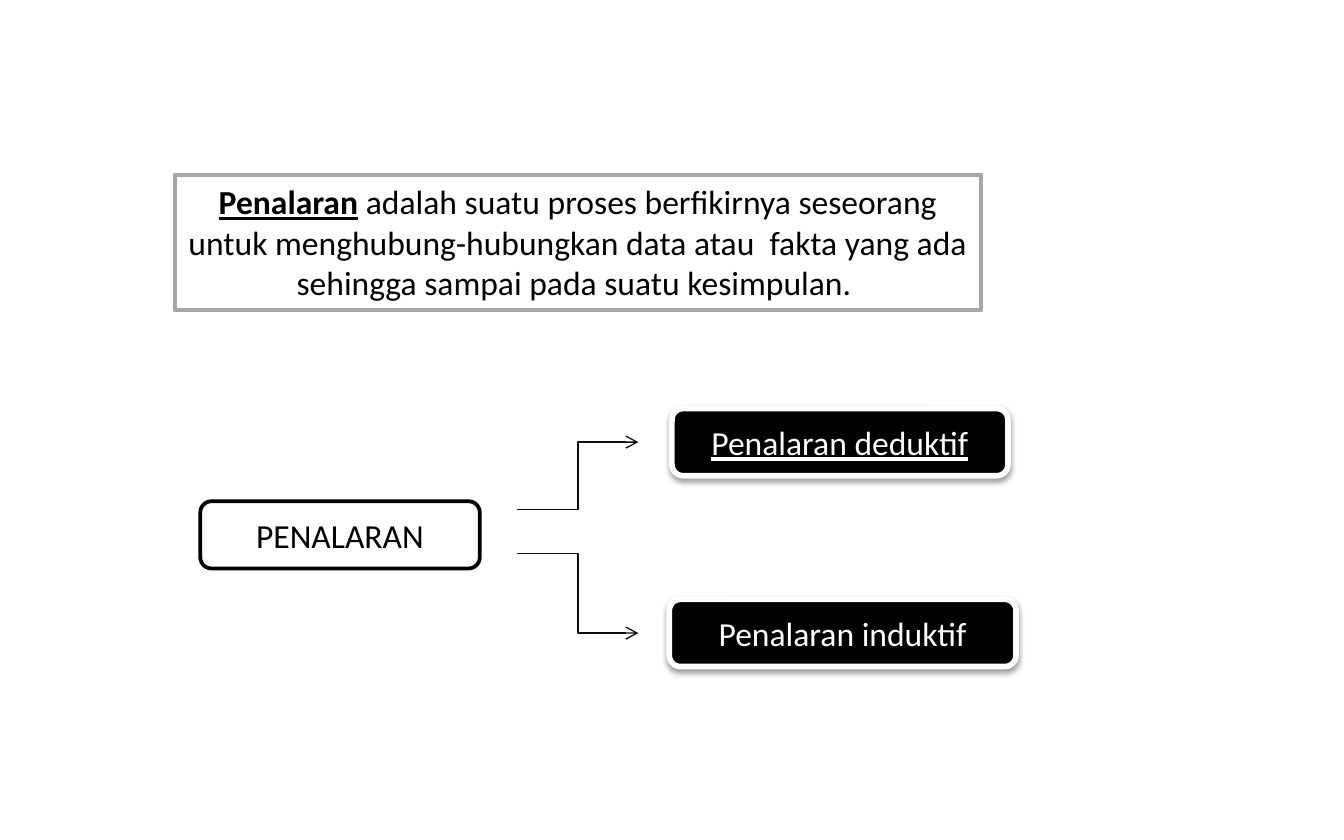
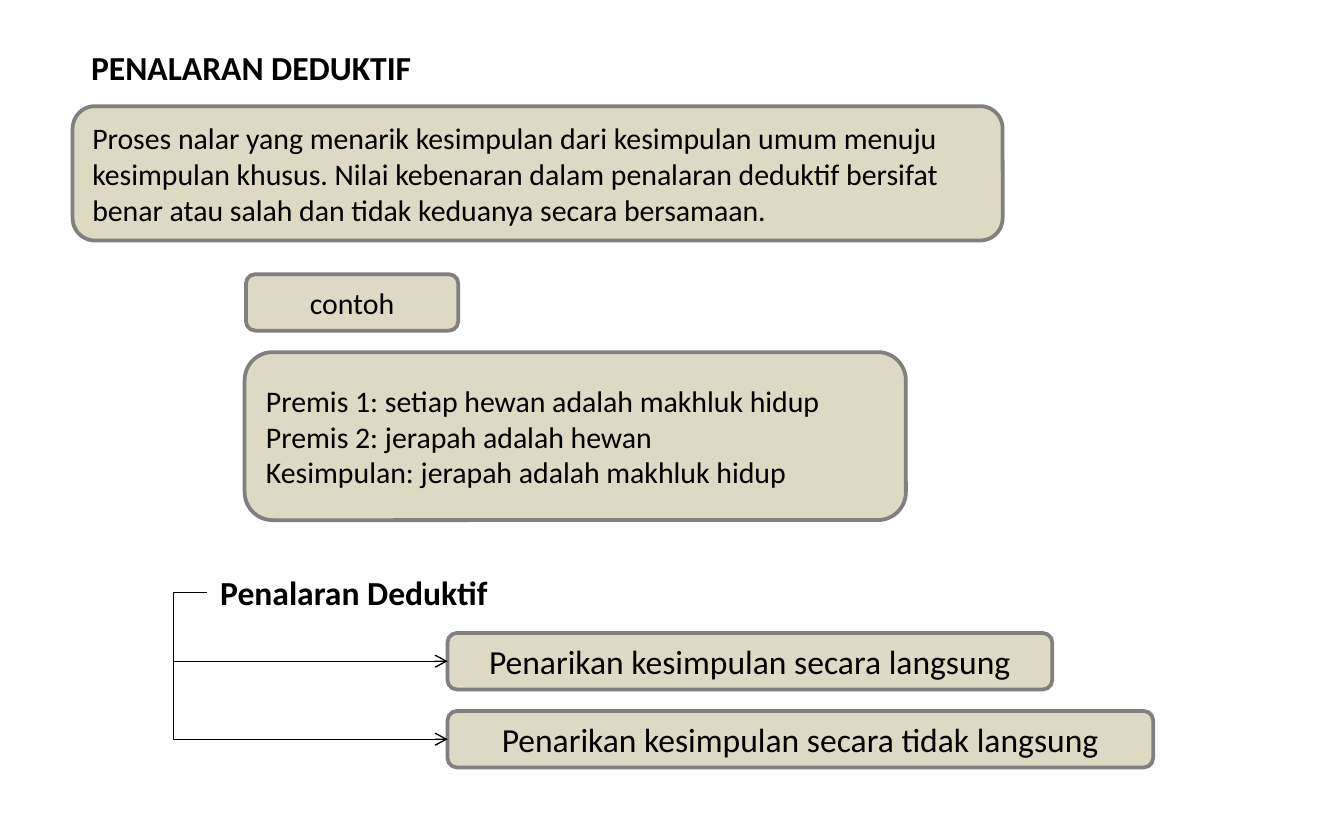
from dataclasses import dataclass, field
from typing import Optional

from lxml.etree import SubElement
from pptx import Presentation
from pptx.dml.color import RGBColor
from pptx.enum.shapes import MSO_CONNECTOR as Link, MSO_SHAPE as Preset
from pptx.enum.text import MSO_ANCHOR as Anchor, PP_ALIGN as Align
from pptx.oxml.ns import qn
from pptx.util import Inches, Pt

BLACK = RGBColor(0x00, 0x00, 0x00)
NEAR_BLACK = RGBColor(0x0D, 0x0D, 0x0D)
WHITE = RGBColor(0xFF, 0xFF, 0xFF)
SILVER = RGBColor(0xA6, 0xA6, 0xA6)
GREY = RGBColor(0x80, 0x80, 0x80)
SAND = RGBColor(0xDD, 0xD9, 0xC3)
FONT = "Calibri"


@dataclass(frozen=True)
class Style:
    """Look shared by boxes of one kind."""
    fill: Optional[RGBColor]
    line: RGBColor
    line_width: float
    ink: RGBColor = BLACK
    preset: Preset = Preset.ROUNDED_RECTANGLE
    anchor: Anchor = Anchor.MIDDLE
    raised: bool = False


@dataclass(frozen=True)
class Run:
    """Piece of text with its own font format."""
    text: str
    font: dict = field(default_factory=dict)


@dataclass(frozen=True)
class Box:
    """Outlined box; each paragraph is a list of runs."""
    left: float
    top: float
    width: float
    height: float
    paragraphs: list[list[Run]]
    style: Style
    size: int = 18
    align: Align = Align.CENTER


@dataclass(frozen=True)
class Arrow:
    """Elbow arrow; bend is the turning point as a share of its width."""
    start: tuple[float, float]
    end: tuple[float, float]
    color: RGBColor = BLACK
    bend: float = 0.5


DEFINITION = Style(None, SILVER, 2.25, preset=Preset.RECTANGLE, anchor=Anchor.TOP)
ROOT = Style(WHITE, BLACK, 2)
BRANCH = Style(BLACK, WHITE, 3, ink=WHITE, raised=True)
PANEL = Style(SAND, GREY, 2)


def set_format(target, values: dict) -> None:
    """Set every named attribute of the target."""
    for name, value in values.items():
        setattr(target, name, value)


def write_text(frame, paragraphs: list[list[Run]], size: int, ink: RGBColor,
               align: Align, anchor: Anchor) -> None:
    """Fill a text frame with paragraphs of formatted runs."""
    set_format(frame, {"word_wrap": True, "vertical_anchor": anchor})
    for index, runs in enumerate(paragraphs):
        paragraph = frame.add_paragraph() if index else frame.paragraphs[0]
        paragraph.alignment = align
        for piece in runs:
            run = paragraph.add_run()
            run.text = piece.text
            set_format(run.font, {"name": FONT, "size": Pt(size), **piece.font})
            run.font.color.rgb = ink


def add_soft_shadow(shape) -> None:
    """Put a faint shadow straight below the shape."""
    effects = shape._element.spPr.find(qn("a:effectLst"))
    shadow = SubElement(effects, qn("a:outerShdw"), blurRad=str(Pt(3.1)),
                        dist=str(Pt(1.6)), dir="5400000", rotWithShape="0")
    color = SubElement(shadow, qn("a:srgbClr"), val=str(BLACK))
    SubElement(color, qn("a:alpha"), val="38000")


def draw_box(slide, box: Box) -> None:
    """Draw a box with its text."""
    style = box.style
    shape = slide.shapes.add_shape(style.preset, Inches(box.left), Inches(box.top),
                                   Inches(box.width), Inches(box.height))
    if style.fill is None:
        shape.fill.background()
    else:
        shape.fill.solid()
        shape.fill.fore_color.rgb = style.fill
    shape.line.color.rgb = style.line
    shape.line.width = Pt(style.line_width)
    shape.shadow.inherit = False
    if style.raised:
        add_soft_shadow(shape)
    write_text(shape.text_frame, box.paragraphs, box.size, style.ink,
               box.align, style.anchor)


def draw_heading(slide, left: float, top: float, width: float, text: str) -> None:
    """Draw a bold heading without a frame."""
    heading = slide.shapes.add_textbox(Inches(left), Inches(top),
                                       Inches(width), Inches(0.4))
    write_text(heading.text_frame, [[Run(text, {"bold": True})]], 18, BLACK,
               Align.LEFT, Anchor.TOP)


def draw_arrow(slide, arrow: Arrow) -> None:
    """Draw an elbow connector with an open arrowhead at its end."""
    points = [Inches(value) for value in (*arrow.start, *arrow.end)]
    connector = slide.shapes.add_connector(Link.ELBOW, *points)
    connector.line.color.rgb = arrow.color
    connector.line.width = Pt(0.75)
    properties = connector._element.spPr
    SubElement(properties.find(qn("a:ln")), qn("a:tailEnd"), type="arrow")
    SubElement(properties, qn("a:effectLst"))
    guides = properties.find(qn("a:prstGeom")).get_or_add_avLst()
    SubElement(guides, qn("a:gd"), name="adj1",
               fmla=f"val {round(arrow.bend * 100000)}")


def build_overview(slide) -> None:
    """Define reasoning and split it into its two kinds."""
    boxes = [
        Box(1.3, 1.3, 6, 1.01, [[
            Run("Penalaran", {"bold": True, "underline": True}),
            Run(" adalah suatu proses berfikirnya seseorang untuk "
                "menghubung-hubungkan data atau  fakta yang ada sehingga "
                "sampai pada suatu kesimpulan. ")]], DEFINITION),
        Box(1.49, 3.73, 2.08, 0.5, [[Run("PENALARAN")]], ROOT),
        Box(5, 3.04, 2.5, 0.5,
            [[Run("Penalaran deduktif", {"underline": True})]], BRANCH),
        Box(4.98, 4.46, 2.58, 0.5, [[Run("Penalaran induktif")]], BRANCH),
    ]
    for box in boxes:
        draw_box(slide, box)
    for start_y, end_y in ((4.12, 4.71), (3.79, 3.29)):
        draw_arrow(slide, Arrow((3.85, start_y), (4.75, end_y), NEAR_BLACK))


def build_deduction(slide) -> None:
    """Explain deduction with an example and its two forms."""
    draw_heading(slide, 0.58, 0.3, 3.67, "PENALARAN DEDUKTIF")
    meaning = ("Proses nalar yang menarik kesimpulan dari kesimpulan umum menuju "
               "kesimpulan khusus. Nilai kebenaran dalam penalaran deduktif bersifat "
               "benar atau salah dan tidak keduanya secara bersamaan.")
    syllogism = ["Premis 1: setiap hewan adalah makhluk hidup",
                 "Premis 2: jerapah adalah hewan",
                 "Kesimpulan: jerapah adalah makhluk hidup"]
    boxes = [
        Box(0.54, 0.79, 6.92, 1, [[Run(meaning)]], PANEL, 16, Align.LEFT),
        Box(1.82, 2.62, 4.92, 1.25, [[Run(line)] for line in syllogism],
            PANEL, 16, Align.LEFT),
        Box(1.83, 2.04, 1.58, 0.42, [[Run("contoh")]], PANEL, 16),
    ]
    for box in boxes:
        draw_box(slide, box)

    draw_heading(slide, 1.54, 4.21, 2.21, "Penalaran Deduktif")
    forms = [(4.71, 4.5, "Penarikan kesimpulan secara langsung"),
             (5.29, 5.25, "Penarikan kesimpulan secara tidak langsung")]
    for top, width, label in forms:
        draw_box(slide, Box(3.33, top, width, 0.42, [[Run(label)]], PANEL))
        draw_arrow(slide, Arrow((1.54, 4.41), (3.33, top + 0.21), bend=-0.14))


def main() -> None:
    """Build and save the presentation."""
    deck = Presentation()
    set_format(deck, {"slide_width": Inches(10), "slide_height": Inches(6.25)})
    blank = deck.slide_layouts[6]
    for build in (build_overview, build_deduction):
        build(deck.slides.add_slide(blank))
    deck.save("out.pptx")


main()
